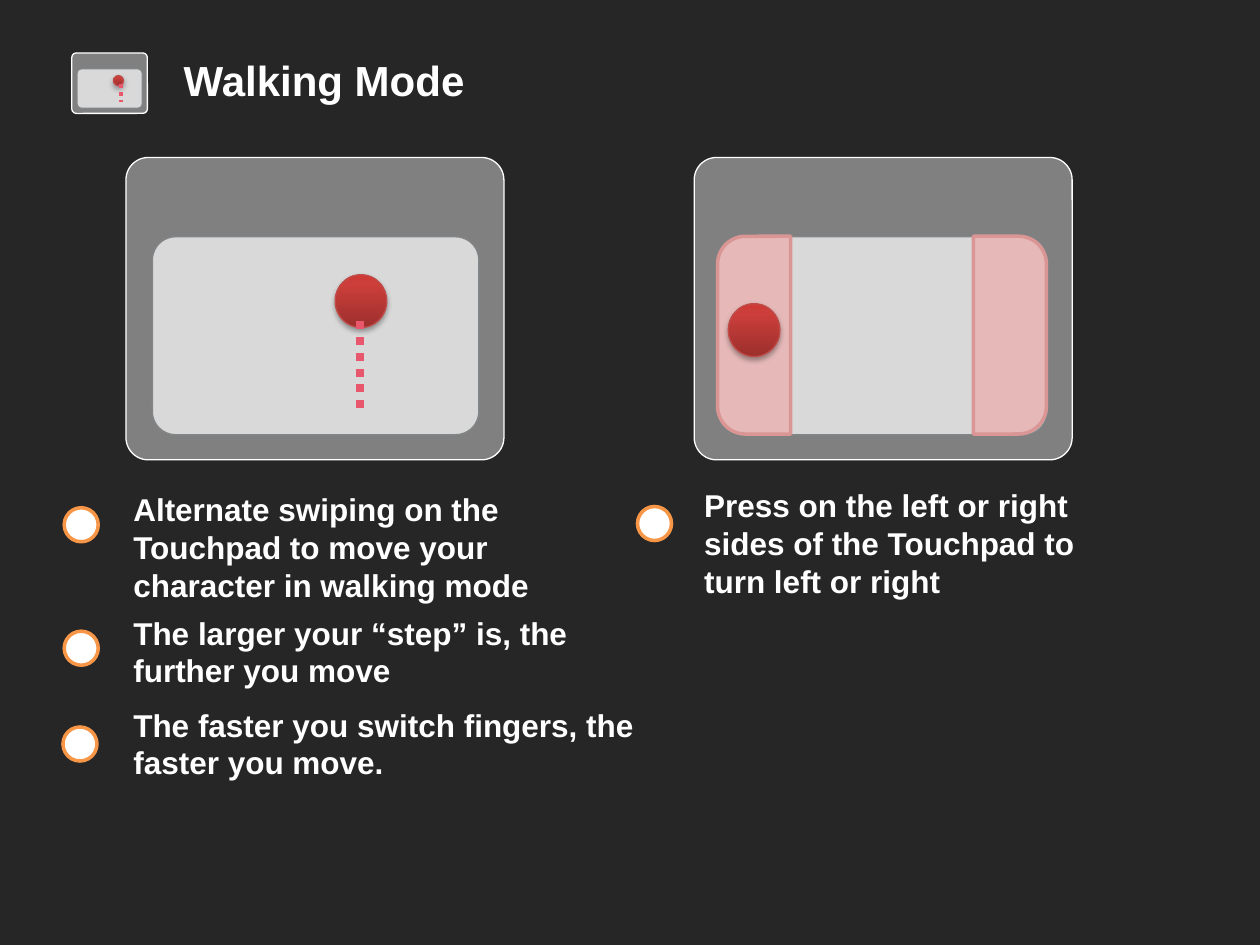
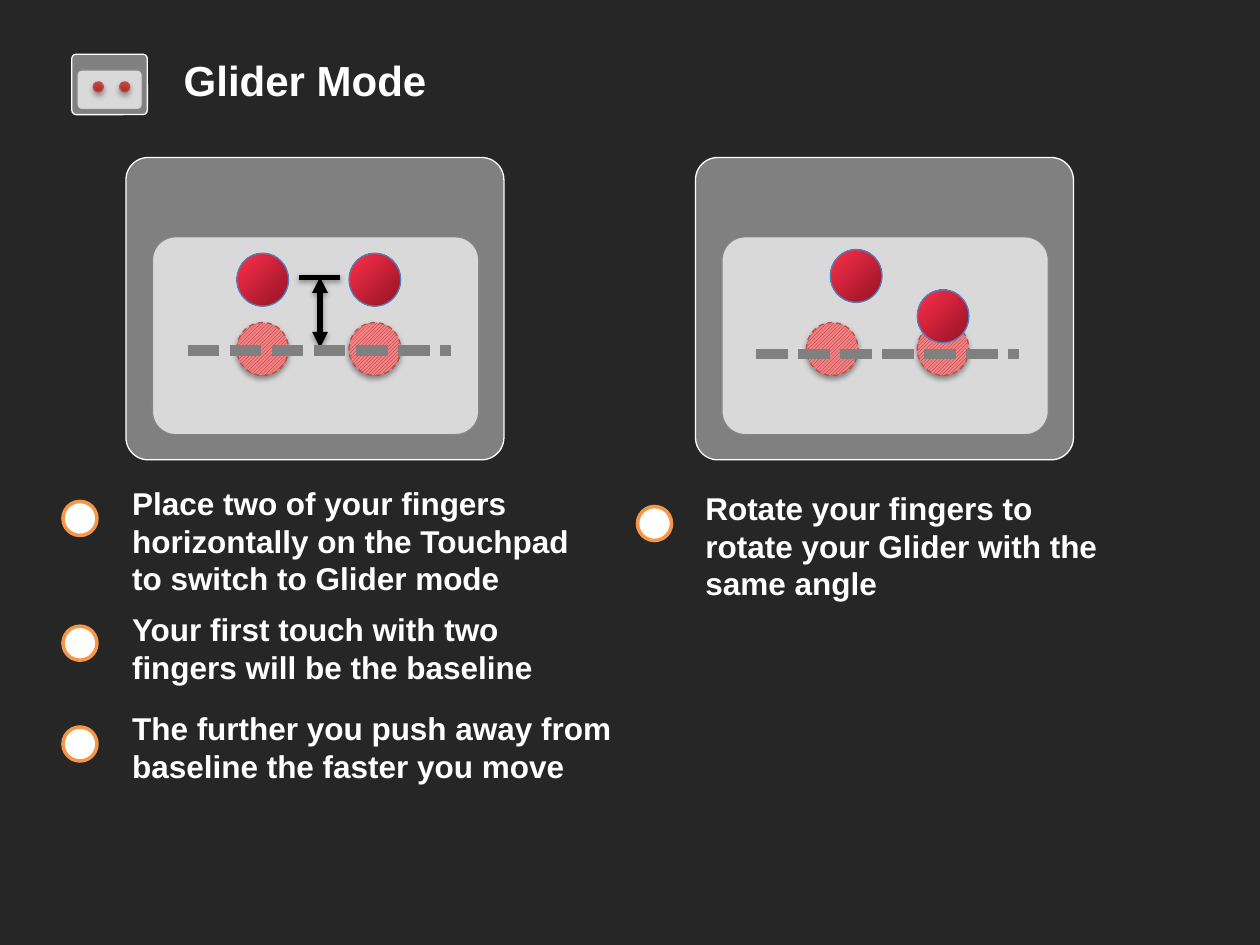
from dataclasses import dataclass
from lxml import etree
from pptx import Presentation, oxml, util as u
from pptx.dml import color
from pptx.enum import dml, shapes, text
from pptx.oxml import ns


@dataclass(frozen=True)
class Theme:
    background: str = "262626"
    white: str = "FFFFFF"
    gray: str = "808080"
    surface: str = "D9D9D9"
    surface_edge: str = "828689"
    marker: str = "F79646"
    zone: str = "E6B9B8"
    zone_edge: str = "D99694"
    finger_edge: str = "BF4C48"
    push_edge: str = "4F81BD"
    hatch: str = "AC2B37"
    hatch_back: str = "F18383"
    swipe: str = "E8576B"
    black: str = "000000"
    finger_stops: tuple = ((0, "9C2F2D"), (80, "CB3E3A"), (100, "CE3B37"))
    push_stops: tuple = ((0, "FE304B"), (76, "AC192D"), (100, "9A1527"))
    font: str = "Arial"
    title_size: int = 24
    body_size: int = 18


theme = Theme()
kinds = shapes.MSO_SHAPE
dashes = dml.MSO_LINE
upward = '<a:lin ang="16200000" scaled="0"/>'
corner = '<a:path path="circle"><a:fillToRect r="100000" b="100000"/></a:path>'

styles = {
    "case": {"kind": kinds.ROUNDED_RECTANGLE, "adjust": [0.074], "fill": theme.gray,
             "edge": theme.white, "width": 0.75},
    "surface": {"kind": kinds.ROUNDED_RECTANGLE, "adjust": [0.117], "fill": theme.surface,
                "edge": theme.surface_edge, "width": 0.75},
    "marker": {"kind": kinds.OVAL, "fill": theme.white, "edge": theme.marker, "width": 2},
    "finger": {"kind": kinds.OVAL, "stops": theme.finger_stops, "direction": upward,
               "edge": theme.finger_edge, "width": 0.75, "shadow": (35, 1.8)},
    "push": {"kind": kinds.OVAL, "stops": theme.push_stops, "direction": corner,
             "edge": theme.push_edge, "width": 0.75},
    "ghost": {"kind": kinds.OVAL, "hatch": True, "edge": theme.finger_edge, "width": 0.75,
              "dash": dashes.DASH, "shadow": (38, 1.6)},
    "left zone": {"kind": kinds.ROUND_2_SAME_RECTANGLE, "adjust": [0.381, 0], "turn": 270,
                  "fill": theme.zone, "edge": theme.zone_edge, "width": 2},
    "swipe": {"edge": theme.swipe, "width": 4.5, "dash": dashes.ROUND_DOT},
    "baseline": {"edge": theme.gray, "width": 6, "dash": dashes.SQUARE_DOT},
    "limit": {"edge": theme.black, "width": 3, "shadow": (38, 1.6)},
}
styles["right zone"] = {**styles["left zone"], "turn": 90}
styles["small swipe"] = {**styles["swipe"], "width": 2.25}
styles["distance"] = {**styles["limit"], "arrows": True}


def draw(page, name, *place):
    style = styles[name]
    place = [u.Inches(value) for value in place]
    if "kind" in style:
        item = page.shapes.add_shape(style["kind"], *place)
        item.shadow.inherit = False
        item.rotation = style.get("turn", 0)
        for index, value in enumerate(style.get("adjust", [])):
            item.adjustments[index] = value
    else:
        item = page.shapes.add_connector(shapes.MSO_CONNECTOR.STRAIGHT, *place)
    item.line.color.rgb = color.RGBColor.from_string(style["edge"])
    formats = {"width": u.Pt(style["width"]), "dash_style": style.get("dash")}
    for key, value in formats.items():
        setattr(item.line, key, value)
    properties = item._element.spPr
    if "fill" in style:
        item.fill.solid()
        item.fill.fore_color.rgb = color.RGBColor.from_string(style["fill"])
    if "hatch" in style:
        item.fill.patterned()
        item.fill.pattern = dml.MSO_PATTERN.LIGHT_UPWARD_DIAGONAL
        item.fill.fore_color.rgb = color.RGBColor.from_string(theme.hatch)
        item.fill.back_color.rgb = color.RGBColor.from_string(theme.hatch_back)
    if "stops" in style:
        item.fill.gradient()
        stops = "".join(f'<a:gs pos="{spot * 1000}"><a:srgbClr val="{shade}"/></a:gs>'
                        for spot, shade in style["stops"])
        gradient = oxml.parse_xml(f'<a:gradFill {ns.nsdecls("a")} rotWithShape="1">'
                                  f'<a:gsLst>{stops}</a:gsLst>{style["direction"]}</a:gradFill>')
        properties.replace(properties.find(ns.qn("a:gradFill")), gradient)
    if "arrows" in style:
        outline = properties.find(ns.qn("a:ln"))
        for end in ("a:headEnd", "a:tailEnd"):
            etree.SubElement(outline, ns.qn(end), type="triangle")
    effects = properties.find(ns.qn("a:effectLst"))
    if effects is None:
        effects = etree.SubElement(properties, ns.qn("a:effectLst"))
    if "shadow" in style:
        alpha, distance = style["shadow"]
        effects.append(oxml.parse_xml(
            f'<a:outerShdw {ns.nsdecls("a")} blurRad="{u.Pt(3.1)}" dist="{u.Pt(distance)}" '
            f'dir="5400000" rotWithShape="0"><a:srgbClr val="{theme.black}">'
            f'<a:alpha val="{alpha * 1000}"/></a:srgbClr></a:outerShdw>'))


def write(page, words, size, *place):
    box = page.shapes.add_textbox(*[u.Inches(value) for value in place])
    box.text_frame.word_wrap = True
    box.text_frame.auto_size = text.MSO_AUTO_SIZE.SHAPE_TO_FIT_TEXT
    span = box.text_frame.paragraphs[0].add_run()
    span.text = words
    for key, value in {"name": theme.font, "size": u.Pt(size), "bold": True}.items():
        setattr(span.font, key, value)
    span.font.color.rgb = color.RGBColor.from_string(theme.white)


finger_size = (0.41, 0.42)
dot_size = (0.08, 0.08)
zone_size = (1.57, 0.58)

modes = [
    {
        "title": "Walking Mode",
        "pads": [(0.57, 0.42, 0.2), (1, 1.25, 1), (5.51, 1.25, 1)],
        "drawings": [
            ("finger", 0.9, 0.6, *dot_size),
            ("small swipe", 0.96, 0.67, 0.96, 0.81),
            ("finger", 2.66, 2.18, *finger_size),
            ("swipe", 2.86, 2.55, 2.86, 3.25),
            ("left zone", 5.2, 2.37, *zone_size),
            ("right zone", 7.23, 2.37, *zone_size),
            ("finger", 5.78, 2.41, *finger_size),
        ],
        "points": [
            ("Alternate swiping on the Touchpad to move your character in walking mode",
             (0.96, 3.84, 4.04, 1.01), (0.51, 4.03)),
            ("The larger your “step” is, the further you move",
             (0.96, 4.82, 4.21, 0.71), (0.51, 5.01)),
            ("The faster you switch fingers, the faster you move.",
             (0.96, 5.55, 4.28, 0.71), (0.5, 5.77)),
            ("Press on the left or right sides of the Touchpad to turn left or right",
             (5.49, 3.81, 3.5, 1.01), (5.06, 4.02)),
        ],
    },
    {
        "title": "Glider Mode",
        "pads": [(0.57, 0.43, 0.2), (1, 1.25, 1), (5.52, 1.25, 1)],
        "drawings": [
            *[("finger", left, 0.65, *dot_size) for left in (0.74, 0.95)],
            *[("ghost", left, 2.56, *finger_size) for left in (1.88, 2.77, 6.4, 7.28)],
            *[("push", left, top, *finger_size)
              for left, top in ((1.88, 2.01), (2.77, 2.01), (6.59, 1.98), (7.28, 2.3))],
            ("limit", 2.37, 2.2, 2.7, 2.2),
            ("distance", 2.54, 2.2, 2.54, 2.76),
            ("baseline", 1.49, 2.78, 3.58, 2.78),
            ("baseline", 6, 2.81, 8.09, 2.81),
        ],
        "points": [
            ("Place two of your fingers horizontally on the Touchpad to switch to Glider mode",
             (0.95, 3.79, 3.89, 1.01), (0.5, 3.98)),
            ("Your first touch with two fingers will be the baseline",
             (0.95, 4.79, 3.97, 0.71), (0.5, 4.97)),
            ("The further you push away from baseline the faster you move",
             (0.95, 5.58, 4.22, 0.71), (0.5, 5.77)),
            ("Rotate your fingers to rotate your Glider with the same angle",
             (5.5, 3.83, 3.5, 1.01), (5.06, 4.02)),
        ],
    },
]

deck = Presentation()
deck.slide_width, deck.slide_height = u.Inches(10), u.Inches(7.5)

for mode in modes:
    page = deck.slides.add_slide(deck.slide_layouts[6])
    page.background.fill.solid()
    page.background.fill.fore_color.rgb = color.RGBColor.from_string(theme.background)
    write(page, mode["title"], theme.title_size, 1.36, 0.38, 2.78, 0.5)
    for left, top, scale in mode["pads"]:
        draw(page, "case", left, top, 3 * scale, 2.4 * scale)
        draw(page, "surface", left + 0.21 * scale, top + 0.63 * scale, 2.59 * scale, 1.57 * scale)
    for drawing in mode["drawings"]:
        draw(page, *drawing)
    for words, place, marker in mode["points"]:
        write(page, words, theme.body_size, *place)
        draw(page, "marker", *marker, 0.27, 0.27)

deck.save("out.pptx")
